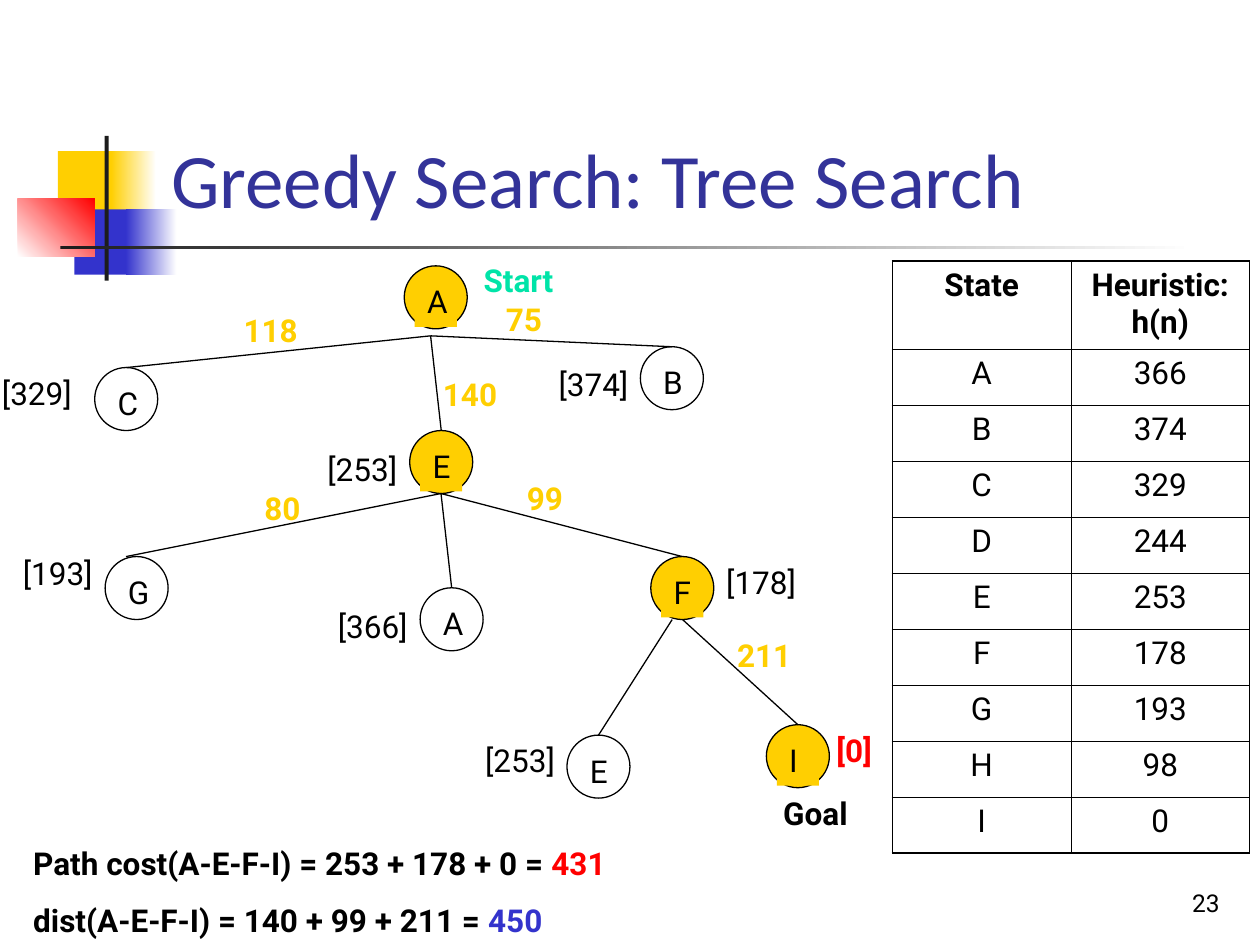
"""Builds the slide on greedy tree search with its heuristic table."""
from lxml import etree
from pptx import Presentation
from pptx.dml.color import RGBColor
from pptx.enum.shapes import MSO_CONNECTOR, MSO_SHAPE
from pptx.enum.text import MSO_ANCHOR, MSO_AUTO_SIZE, PP_ALIGN
from pptx.oxml import parse_xml
from pptx.oxml.ns import nsdecls, qn
from pptx.util import Cm, Pt

STRAIGHT = MSO_CONNECTOR.STRAIGHT
RECTANGLE, OVAL = MSO_SHAPE.RECTANGLE, MSO_SHAPE.OVAL
TOP, BOTTOM = MSO_ANCHOR.TOP, MSO_ANCHOR.BOTTOM
LEFT, CENTER, RIGHT = PP_ALIGN.LEFT, PP_ALIGN.CENTER, PP_ALIGN.RIGHT
FIXED_SIZE = MSO_AUTO_SIZE.NONE

BLACK = RGBColor(0x00, 0x00, 0x00)
WHITE = RGBColor(0xFF, 0xFF, 0xFF)
CHARCOAL = RGBColor(0x1C, 0x1C, 0x1C)
GOLD = RGBColor(0xFF, 0xCF, 0x01)
BLUE = RGBColor(0x33, 0x33, 0xCC)
NAVY = RGBColor(0x33, 0x33, 0x99)
RED = RGBColor(0xFF, 0x00, 0x00)
GREEN = RGBColor(0x00, 0xE4, 0xA8)

NODE_SIZE = 1.27
LABEL_INSET = 0.21
LINE_HEIGHT = 1.02

DECORATION = [
    (1.17, 3.05, 1.22, 1.32, [GOLD], 0),
    (2.24, 3.05, 0.91, 1.32, [GOLD, WHITE], 0),
    (1.5, 4.22, 1.17, 1.32, [BLUE], 0),
    (2.54, 4.22, 1.02, 1.32, [BLUE, WHITE], 0),
    (0.36, 4.01, 1.55, 1.17, [WHITE, RED], 45),
    (2.11, 2.74, 0.08, 2.92, [CHARCOAL], 0),
    (1.22, 4.95, 22.86, 0.08, [CHARCOAL, WHITE], 0),
]
NODES = {
    "root": ("A", 8.15, 5.36, True),
    "B": ("B", 12.91, 6.99, False),
    "C": ("C", 1.91, 7.41, False),
    "E": ("E", 8.26, 8.68, True),
    "F": ("F", 13.12, 11.22, True),
    "goal": ("I", 15.45, 14.61, True),
    "G": ("G", 2.12, 11.22, False),
    "A again": ("A", 8.47, 11.85, False),
    "E again": ("E", 11.43, 14.82, False),
}
BELOW_ROOT, BELOW_E = (8.68, 6.77), (8.89, 9.95)
BELOW_F, BELOW_F_LEFT = (13.76, 12.49), (13.55, 12.49)
BRANCHES = [
    (BELOW_ROOT, "B"), (BELOW_ROOT, "C"), (BELOW_ROOT, "E"),
    (BELOW_E, "F"), (BELOW_E, "A again"),
    (BELOW_F, "goal"), (BELOW_F_LEFT, "E again"),
]
STEP_COSTS = [
    ("75", 9.95, 5.93), ("118", 4.66, 6.14), ("140", 8.68, 7.44),
    ("80", 5.08, 9.74), ("99", 10.37, 9.53), ("211", 14.61, 12.7),
]
ESTIMATES = [
    ("[374]", 11.01, 7.24), ("[329]", -0.21, 7.41), ("[253]", 6.35, 8.94),
    ("[193]", 0.21, 11.05), ("[366]", 6.56, 12.12), ("[178]", 14.39, 11.22),
    ("[253]", 9.53, 14.82),
]
HEURISTICS = [
    ("State", "Heuristic: h(n)"),
    ("A", "366"), ("B", "374"), ("C", "329"), ("D", "244"), ("E", "253"),
    ("F", "178"), ("G", "193"), ("H", "98"), ("I", "0"),
]
TOTALS = [
    [("Path cost(A-E-F-I) = 253 + 178 + 0 = ", BLACK), ("431", RED)],
    [("dist(A-E-F-I) = 140 + 99 + 211 = ", BLACK), ("450", BLUE)],
]


class TreeSlide:
    """Holds the style and the current slide, and draws each kind of element."""

    def __init__(self, slide, font="Roboto", size=18):
        self.slide = slide
        self.font = font
        self.size = size

    def style(self, run, color=BLACK, bold=False, size=None, font=None):
        run.font.name = font or self.font
        run.font.size = Pt(size or self.size)
        run.font.bold = bold
        run.font.color.rgb = color

    def title(self, words, left, top, width, height):
        heading = self.slide.shapes.title
        heading.left, heading.top = Cm(left), Cm(top)
        heading.width, heading.height = Cm(width), Cm(height)
        frame = heading.text_frame
        frame.text = words
        frame.auto_size = FIXED_SIZE
        frame.vertical_anchor = BOTTOM
        frame.paragraphs[0].alignment = LEFT
        self.style(frame.paragraphs[0].runs[0], NAVY, size=44, font="Calibri")

    def block(self, left, top, width, height, colors, angle):
        block = self.slide.shapes.add_shape(
            RECTANGLE, Cm(left), Cm(top), Cm(width), Cm(height))
        block.shadow.inherit = False
        block.line.fill.background()
        if len(colors) == 1:
            block.fill.solid()
            block.fill.fore_color.rgb = colors[0]
            return
        block.fill.gradient()
        block.fill.gradient_angle = angle
        for stop, color in zip(block.fill.gradient_stops, colors):
            stop.color.rgb = color

    def text(self, lines, left, top, width, height=LINE_HEIGHT, bold=False,
             size=None, align=LEFT, anchor=TOP, parent=None):
        box = (parent or self.slide).shapes.add_textbox(
            Cm(left), Cm(top), Cm(width), Cm(height))
        frame = box.text_frame
        frame.word_wrap = True
        frame.vertical_anchor = anchor
        for index, parts in enumerate(lines):
            paragraph = frame.add_paragraph() if index else frame.paragraphs[0]
            paragraph.alignment = align
            if index:
                paragraph.space_before = Pt(11.2)
            for words, color in parts:
                run = paragraph.add_run()
                run.text = words
                self.style(run, color, bold, size)
        return box

    def node(self, letter, left, top, expanded):
        group = self.slide.shapes.add_group_shape()
        circle = group.shapes.add_shape(
            OVAL, Cm(left), Cm(top), Cm(NODE_SIZE), Cm(NODE_SIZE))
        circle.shadow.inherit = False
        circle.line.color.rgb = BLACK
        circle.line.width = Pt(0.75)
        label = self.text([[(letter, BLACK)]], left + LABEL_INSET,
                          top + LABEL_INSET, NODE_SIZE - 2 * LABEL_INSET,
                          parent=group)
        for part in (circle, label):
            if expanded:
                part.fill.solid()
                part.fill.fore_color.rgb = GOLD
            else:
                part.fill.background()
        return circle

    def branch(self, start, end, child=None):
        line = self.slide.shapes.add_connector(
            STRAIGHT, Cm(start[0]), Cm(start[1]), Cm(end[0]), Cm(end[1]))
        line.line.color.rgb = BLACK
        line.line.width = Pt(0.75)
        etree.SubElement(line._element.spPr, qn("a:effectLst"))
        if child is not None:
            line.end_connect(child, 0)

    def borders(self, cell, outer_sides):
        properties = cell._tc.get_or_add_tcPr()
        for index, side in enumerate(("L", "R", "T", "B")):
            width = Pt(1.08 if side in outer_sides else 0.45)
            properties.insert(index, parse_xml(
                f'<a:ln{side} {nsdecls("a")} w="{width}"><a:solidFill>'
                f'<a:srgbClr val="{BLACK}"/></a:solidFill></a:ln{side}>'))

    def table(self, rows, left, top, column, header, row_height):
        last = len(rows) - 1
        table = self.slide.shapes.add_table(
            len(rows), 2, Cm(left), Cm(top), Cm(2 * column),
            Cm(header + last * row_height)).table
        for side in table.columns:
            side.width = Cm(column)
        for r, values in enumerate(rows):
            table.rows[r].height = Cm(row_height if r else header)
            for c, value in enumerate(values):
                cell = table.cell(r, c)
                cell.text_frame.text = value
                paragraph = cell.text_frame.paragraphs[0]
                paragraph.alignment = CENTER
                self.style(paragraph.runs[0], bold=r == 0)
                cell.fill.background()
                vertical = {0: "T", last: "B"}.get(r, "")
                self.borders(cell, "LR"[c] + vertical)


def main():
    deck = Presentation()
    deck.slide_width, deck.slide_height = Cm(25.4), Cm(19.05)
    tree = TreeSlide(deck.slides.add_slide(deck.slide_layouts[5]))

    for block in DECORATION:
        tree.block(*block)
    tree.title("Greedy Search: Tree Search", 3.2, 0.58, 21.64, 4.06)
    tree.text([[("23", BLACK)]], 19.56, 17.35, 5.28, 1.27, size=14,
              align=RIGHT, anchor=BOTTOM)

    circles = {name: tree.node(*node) for name, node in NODES.items()}
    for start, name in BRANCHES:
        tree.branch(start, start, circles[name])
    tree.branch(BELOW_E, (2.54, 11.22))

    for cost, left, top in STEP_COSTS:
        tree.text([[(cost, GOLD)]], left, top, 2.12, bold=True)
    for estimate, left, top in ESTIMATES:
        tree.text([[(estimate, BLACK)]], left, top, 2.33)
    tree.text([[("[0]", RED)]], 16.61, 14.61, 2.33, bold=True)
    tree.text([[("Start", GREEN)]], 9.5, 5.13, 3.39, bold=True)
    tree.text([[("Goal", BLACK)]], 15.54, 15.88, 3.39, bold=True)
    tree.text(TOTALS, 0.42, 16.89, 15.24, 2.18, bold=True)
    tree.table(HEURISTICS, 17.99, 5.26, 3.6, 1.78, 1.13)
    deck.save("out.pptx")


if __name__ == "__main__":
    main()
